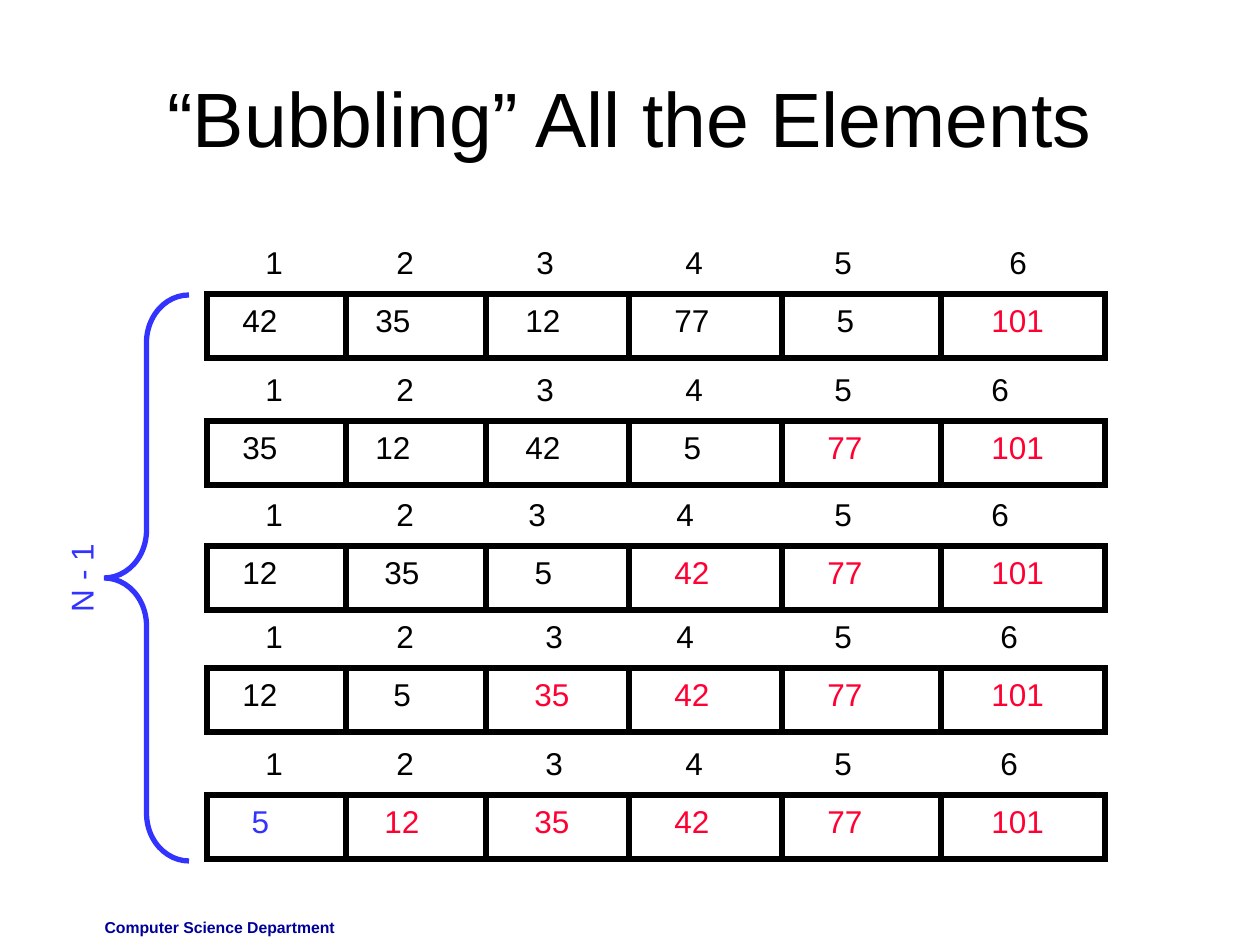
from lxml import etree
from pptx import Presentation
from pptx.dml.color import RGBColor
from pptx.enum.shapes import MSO_CONNECTOR, MSO_SHAPE
from pptx.enum.text import MSO_ANCHOR, PP_ALIGN
from pptx.oxml.ns import qn
from pptx.util import Pt

EMU_PER_PX = 914400 / 126
STRAIGHT = MSO_CONNECTOR.STRAIGHT
RECTANGLE, LEFT_BRACE = MSO_SHAPE.RECTANGLE, MSO_SHAPE.LEFT_BRACE
LEFT, CENTER, RIGHT = PP_ALIGN.LEFT, PP_ALIGN.CENTER, PP_ALIGN.RIGHT
TOP, MIDDLE = MSO_ANCHOR.TOP, MSO_ANCHOR.MIDDLE

BLACK, RED, BLUE, NAVY = "000000", "FF0033", "3333FF", "000099"

ARRAY_LEFT, ARRAY_WIDTH, ARRAY_HEIGHT = 207, 898, 64
DIVIDERS = [346, 486, 629, 782, 941]
VALUE_LEFTS = [230, 363, 513, 662, 806, 970]
NUDGE = 9  # one step to the right inside a cell
LABEL_HEIGHT = 50

# top, values, steps to the right, tab stops of the index numbers
PASSES = [
    (294, [42, 35, 12, 77, 5, 101], [0, 0, 0, 0, 2, 1], [131, 271, 420, 569, 744]),
    (421, [35, 12, 42, 5, 77, 101], [0, 0, 0, 1, 1, 1], [131, 271, 420, 569, 726]),
    (546, [12, 35, 5, 42, 77, 101], [0, 1, 1, 0, 1, 1], [131, 263, 411, 569, 726]),
    (668, [12, 5, 35, 42, 77, 101], [0, 2, 1, 0, 1, 1], [131, 280, 411, 569, 735]),
    (795, [5, 12, 35, 42, 77, 101], [1, 1, 1, 0, 1, 1], [131, 280, 420, 569, 735]),
]


def px(length):
    return round(length * EMU_PER_PX)


def rgb(color):
    return RGBColor.from_string(color)


class SlideBuilder:
    font = "Arial"
    size = 18
    line_width = 3

    def __init__(self, slide):
        self.slide = slide
        self.shapes = slide.shapes

    def start_group(self):
        """Put the elements that follow into a new group."""
        self.shapes = self.slide.shapes.add_group_shape().shapes

    def text(self, text, left, top, width, height=LABEL_HEIGHT, size=size,
             color=BLACK, bold=False, align=CENTER, anchor=TOP, wrap=False,
             rotation=0, tabs=()):
        box = self.shapes.add_textbox(px(left), px(top), px(width), px(height))
        box.rotation = rotation
        frame = box.text_frame
        frame.word_wrap = wrap
        frame.vertical_anchor = anchor
        paragraph = frame.paragraphs[0]
        paragraph.text = text
        paragraph.alignment = align
        if tabs:
            tab_list = etree.SubElement(paragraph._p.get_or_add_pPr(), qn("a:tabLst"))
            for position in tabs:
                etree.SubElement(tab_list, qn("a:tab"), pos=str(px(position)), algn="l")
        font = paragraph.runs[0].font
        font.name, font.size, font.bold = self.font, Pt(size), bold
        font.color.rgb = rgb(color)

    def outline(self, kind, left, top, width, height, color=BLACK):
        """Add an unfilled preset shape with sharp corners."""
        shape = self.shapes.add_shape(kind, px(left), px(top), px(width), px(height))
        shape.shadow.inherit = False
        shape.fill.background()
        shape.line.color.rgb = rgb(color)
        shape.line.width = Pt(self.line_width)
        line = shape._element.spPr.find(qn("a:ln"))
        etree.SubElement(line, qn("a:miter"), lim="800000")
        return shape

    def vertical_line(self, x, top, bottom, color=BLACK):
        line = self.shapes.add_connector(STRAIGHT, px(x), px(top), px(x), px(bottom))
        line.line.color.rgb = rgb(color)
        line.line.width = Pt(self.line_width)
        etree.SubElement(line._element.spPr, qn("a:effectLst"))

    def array(self, top, values, steps, tabs, colors):
        """Add one pass: the cells, their values and the index numbers above."""
        self.start_group()
        self.outline(RECTANGLE, ARRAY_LEFT, top, ARRAY_WIDTH, ARRAY_HEIGHT)
        for x in DIVIDERS:
            self.vertical_line(x, top, top + ARRAY_HEIGHT)
        for value, left, step, color in zip(values, VALUE_LEFTS, steps, colors):
            width = 25 + 17.5 * len(str(value))
            self.text(str(value), left + step * NUDGE, top + 1, width, color=color)
        indexes = "\t".join(str(number + 1) for number in range(len(values)))
        self.text(indexes, 253, top - 57, 800, align=LEFT, wrap=True, tabs=tabs)


def main():
    presentation = Presentation()
    presentation.slide_width, presentation.slide_height = px(1260), px(945)
    builder = SlideBuilder(presentation.slides.add_slide(presentation.slide_layouts[6]))

    builder.text("Computer Science Department", 54, 912, 293, 34, size=9,
                 color=NAVY, bold=True, align=RIGHT, wrap=True)
    builder.text("“Bubbling” All the Elements", 63, 38, 1134, 157, size=44,
                 anchor=MIDDLE, wrap=True)

    for done, (top, values, steps, tabs) in enumerate(PASSES, start=1):
        colors = [BLACK] * (len(values) - done) + [RED] * done
        if done == len(PASSES):
            colors[0] = BLUE
        builder.array(top, values, steps, tabs, colors)

    builder.start_group()
    brace = builder.outline(LEFT_BRACE, 104, 295, 85, 566, color=BLUE)
    brace.adjustments[0] = 0.56
    builder.text("N - 1", 21, 553, 120, color=BLUE, wrap=True, rotation=270)

    presentation.save("out.pptx")


if __name__ == "__main__":
    main()
